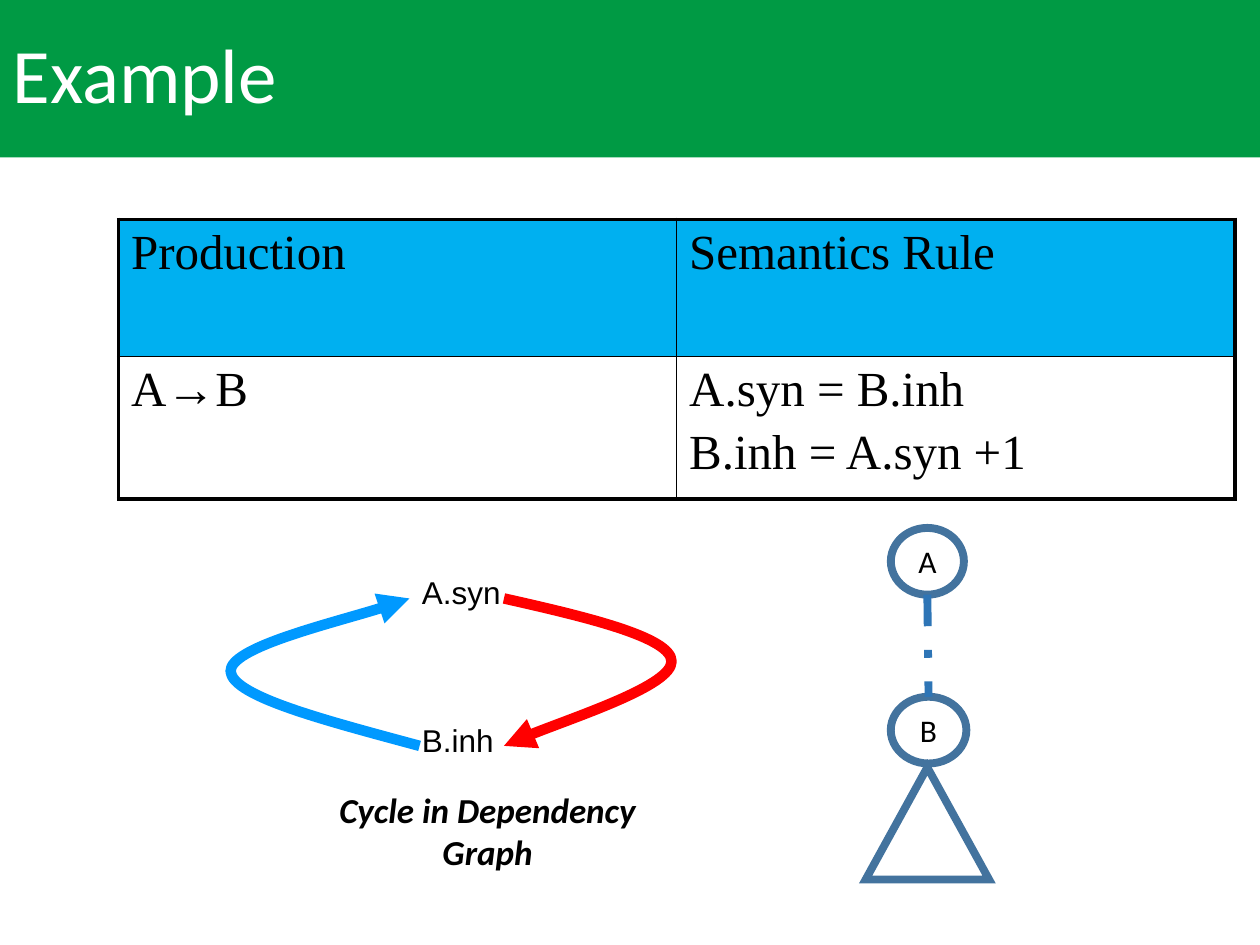
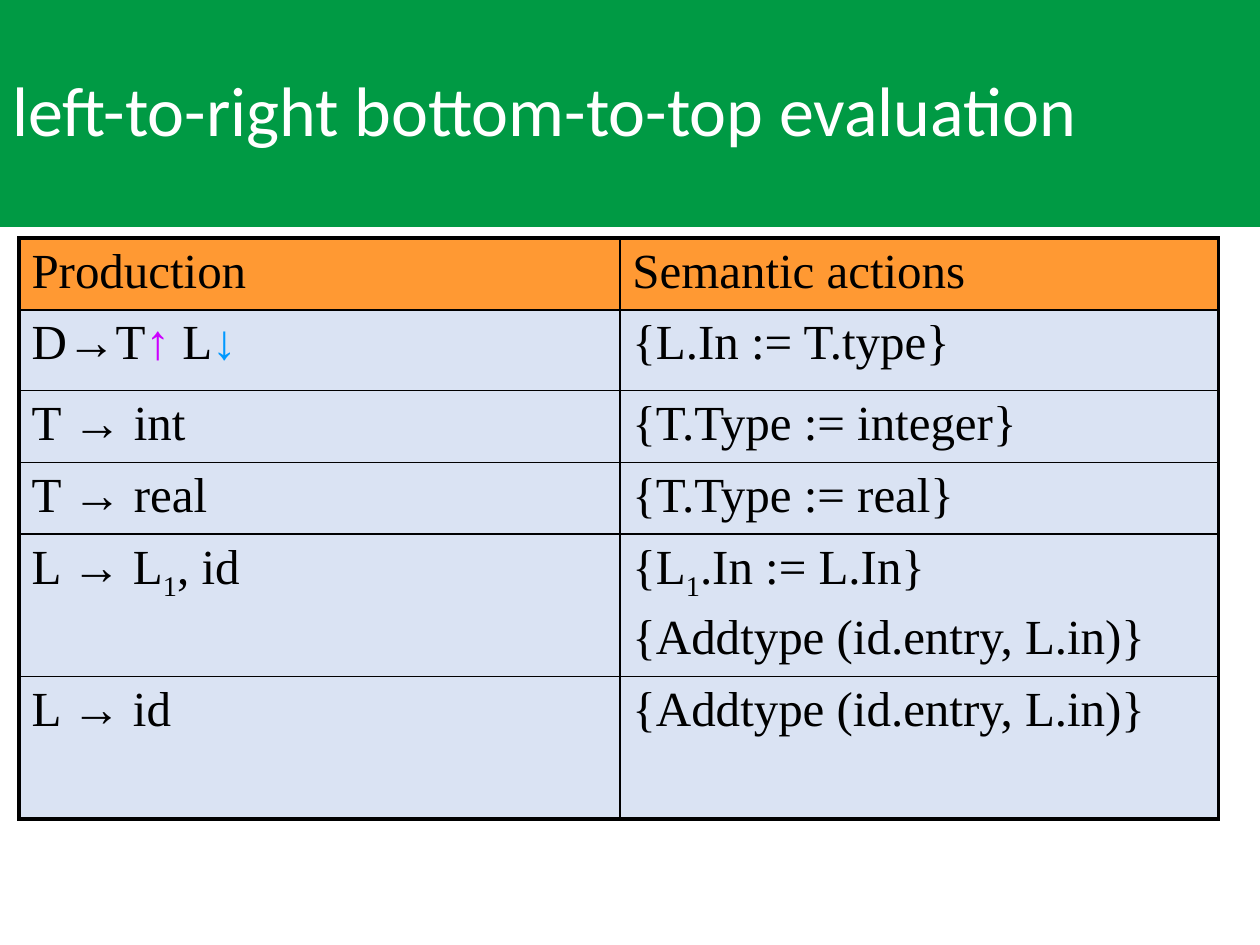
from dataclasses import dataclass
from typing import NamedTuple

from lxml.etree import SubElement
from pptx import Presentation
from pptx.dml.color import RGBColor
from pptx.enum.dml import MSO_LINE
from pptx.enum.shapes import MSO_CONNECTOR, MSO_SHAPE
from pptx.enum.text import MSO_ANCHOR, MSO_AUTO_SIZE, PP_ALIGN
from pptx.oxml.ns import qn
from pptx.util import Inches, Pt


@dataclass(frozen=True)
class Theme:
    band: str = "009A44"
    white: str = "FFFFFF"
    black: str = "000000"
    sky: str = "00B0F0"
    orange: str = "FF9933"
    pale: str = "DAE3F3"
    blue: str = "0099FF"
    red: str = "FF0000"
    purple: str = "CC00FF"
    node: str = "43739E"
    link: str = "2E75B6"
    sans: str = "Calibri"
    serif: str = "Times New Roman"
    plain: str = "Arial"
    cell: float = 28
    label: float = 18
    note: float = 20
    thin: float = 1
    frame: float = 2.25
    stroke: float = 4.5
    arrow: float = 6


THEME = Theme()


class Box(NamedTuple):
    left: float
    top: float
    width: float
    height: float

    def place(self) -> tuple:
        return tuple(Inches(v) for v in self)


class Part(NamedTuple):
    """A piece of a line with its own colour or a lowered baseline."""
    text: str
    color: str = ""
    sub: bool = False


class Grid(NamedTuple):
    left: float
    top: float
    cols: list
    rows: list
    head: str
    body: str
    cells: list


class Curve(NamedTuple):
    color: str
    points: list


class Node(NamedTuple):
    kind: int
    box: Box
    text: str = ""


# Text
def style(para, face: str, size: float, color: str = THEME.black) -> None:
    para.font.name, para.font.size = face, Pt(size)
    para.font.color.rgb = RGBColor.from_string(color)


def write(para, parts) -> None:
    for part in [Part(parts)] if isinstance(parts, str) else parts:
        run = para.add_run()
        run.text = part.text
        if part.color:
            run.font.color.rgb = RGBColor.from_string(part.color)
        if part.sub:
            run._r.get_or_add_rPr().set("baseline", "-25000")


def add_title(deck, text: str, height: float, size: float):
    slide = deck.slides.add_slide(deck.slide_layouts[5])
    title = slide.shapes.title
    title.left, title.top, title.width, title.height = Box(0, 0, 10, height).place()
    title.fill.solid()
    title.fill.fore_color.rgb = RGBColor.from_string(THEME.band)
    frame = title.text_frame
    frame.text = text
    frame.auto_size = MSO_AUTO_SIZE.NONE
    frame.vertical_anchor = MSO_ANCHOR.MIDDLE
    para = frame.paragraphs[0]
    para.alignment, para.line_spacing = PP_ALIGN.LEFT, 0.9
    style(para, THEME.sans, size, THEME.white)
    return slide


def add_label(slide, text: str, box: Box) -> None:
    frame = slide.shapes.add_textbox(*box.place()).text_frame
    frame.word_wrap = True
    frame.text = text
    style(frame.paragraphs[0], THEME.plain, THEME.label)


# Tables
def add_edge(cell, side: str, width: float) -> None:
    edge = SubElement(cell._tc.get_or_add_tcPr(), qn(f"a:ln{side}"), w=str(Pt(width)))
    fill = SubElement(edge, qn("a:solidFill"))
    SubElement(fill, qn("a:srgbClr"), val=THEME.black)


def fill_cell(cell, lines: list, color: str) -> None:
    if color:
        cell.fill.solid()
        cell.fill.fore_color.rgb = RGBColor.from_string(color)
    else:
        cell.fill.background()
    frame = cell.text_frame
    for i, line in enumerate(lines):
        para = frame.add_paragraph() if i else frame.paragraphs[0]
        if i:
            para.space_before = Pt(5)
        style(para, THEME.serif, THEME.cell)
        write(para, line)


def add_grid(slide, grid: Grid) -> None:
    box = Box(grid.left, grid.top, sum(grid.cols), sum(grid.rows))
    high, wide = len(grid.rows), len(grid.cols)
    table = slide.shapes.add_table(high, wide, *box.place()).table
    table.first_row = table.horz_banding = False
    for col, width in zip(table.columns, grid.cols):
        col.width = Inches(width)
    for r, (row, height) in enumerate(zip(table.rows, grid.rows)):
        row.height = Inches(height)
        for c, cell in enumerate(row.cells):
            outer = {"L": c == 0, "R": c == wide - 1, "T": r == 0, "B": r == high - 1}
            for side, edge in outer.items():
                add_edge(cell, side, THEME.frame if edge else THEME.thin)
            fill_cell(cell, grid.cells[r][c], grid.body if r else grid.head)


# Drawn shapes
def set_line(shape, color: str, width: float) -> None:
    shape.line.color.rgb = RGBColor.from_string(color)
    shape.line.width = Pt(width)


def add_node(slide, node: Node, color: str, width: float):
    shape = slide.shapes.add_shape(node.kind, *node.box.place())
    shape.shadow.inherit = False
    shape.fill.solid()
    shape.fill.fore_color.rgb = RGBColor.from_string(THEME.white)
    set_line(shape, color, width)
    SubElement(shape.line._get_or_add_ln(), qn("a:miter"), lim="800000")
    if node.text:
        frame = shape.text_frame
        frame.text = node.text
        frame.word_wrap = True
        frame.vertical_anchor = MSO_ANCHOR.MIDDLE
        frame.paragraphs[0].alignment = PP_ALIGN.CENTER
        style(frame.paragraphs[0], THEME.sans, THEME.label)
    return shape


def add_curve(slide, curve: Curve) -> None:
    start, *rest = [(Inches(x), Inches(y)) for x, y in curve.points]
    form = slide.shapes.build_freeform(*start)
    form.add_line_segments(rest, close=False)
    shape = form.convert_to_shape()
    shape.shadow.inherit = False
    shape.fill.background()
    set_line(shape, curve.color, THEME.arrow)
    SubElement(shape.line._get_or_add_ln(), qn("a:tailEnd"), type="triangle")
    # Every three line ends become the points of one Bézier arc
    track = next(shape._element.iter(qn("a:path")))
    steps = track.findall(qn("a:lnTo"))
    for i in range(0, len(steps), 3):
        arc = SubElement(track, qn("a:cubicBezTo"))
        for step in steps[i:i + 3]:
            arc.append(step[0])
            track.remove(step)


def add_link(slide, start: tuple, end: tuple) -> None:
    ends = [Inches(v) for v in (*start, *end)]
    link = slide.shapes.add_connector(MSO_CONNECTOR.STRAIGHT, *ends)
    set_line(link, THEME.link, THEME.stroke)
    link.line.dash_style = MSO_LINE.DASH_DOT
    SubElement(link._element.spPr, qn("a:effectLst"))


# Slide content
RULES = Grid(0.94, 1.74, [4.43, 4.43], [1.09, 1.13], THEME.sky, "", [
    [["Production"], ["Semantics Rule"]],
    [["A→B"], ["A.syn = B.inh", "B.inh = A.syn +1"]],
])
CURVES = [
    Curve(THEME.blue, [(3.33, 5.92), (2.59, 5.72), (1.85, 5.53), (1.83, 5.33),
                       (1.82, 5.14), (3.01, 4.85), (3.25, 4.75)]),
    Curve(THEME.red, [(4, 4.75), (4.67, 4.9), (5.33, 5.06), (5.33, 5.25),
                      (5.33, 5.44), (4.22, 5.81), (4, 5.92)]),
]
TREE = [
    Node(MSO_SHAPE.OVAL, Box(7.07, 4.19, 0.58, 0.53), "A"),
    Node(MSO_SHAPE.OVAL, Box(7.07, 5.53, 0.6, 0.53), "B"),
    Node(MSO_SHAPE.ISOSCELES_TRIANGLE, Box(6.87, 6.09, 0.98, 0.89)),
]
NOTE = Node(MSO_SHAPE.RECTANGLE, Box(2.26, 6.09, 3.22, 1), "Cycle in Dependency Graph")

ONE = Part("1", sub=True)
ADD = "{Addtype (id.entry, L.in)}"
ACTIONS = Grid(
    0.15, 1.89, [4.77, 4.75], [0.57, 0.64, 0.57, 0.57, 1.13, 1.13],
    THEME.orange, THEME.pale, [
        [["Production"], ["Semantic actions"]],
        [[[Part("D→T"), Part("↑", THEME.purple), Part(" L"), Part("↓", THEME.blue)]],
         ["{L.In := T.type}"]],
        [["T → int"], ["{T.Type := integer}"]],
        [["T → real"], ["{T.Type := real}"]],
        [[[Part("L → L"), ONE, Part(", id")]],
         [[Part("{L"), ONE, Part(".In := L.In}")], ADD]],
        [["L → id"], [ADD]],
    ])


def draw_cycle(deck) -> None:
    slide = add_title(deck, "Example", 1.25, 44)
    add_grid(slide, RULES)
    for text, top in (("A.syn", 4.5), ("B.inh", 5.67)):
        add_label(slide, text, Box(3.25, top, 1.5, 0.4))
    for curve in CURVES:
        add_curve(slide, curve)
    font = add_node(slide, NOTE, THEME.white, THEME.thin).text_frame.paragraphs[0].font
    font.size, font.bold, font.italic = Pt(THEME.note), True, True
    for node in TREE:
        add_node(slide, node, THEME.node, THEME.stroke)
    add_link(slide, (7.36, 4.72), (7.37, 5.53))


def draw_order(deck) -> None:
    slide = add_title(deck, "left-to-right bottom-to-top evaluation", 1.8, 40)
    add_grid(slide, ACTIONS)


def main() -> None:
    deck = Presentation()
    deck.slide_width, deck.slide_height = Inches(10), Inches(7.5)
    draw_cycle(deck)
    draw_order(deck)
    deck.save("out.pptx")


if __name__ == "__main__":
    main()
